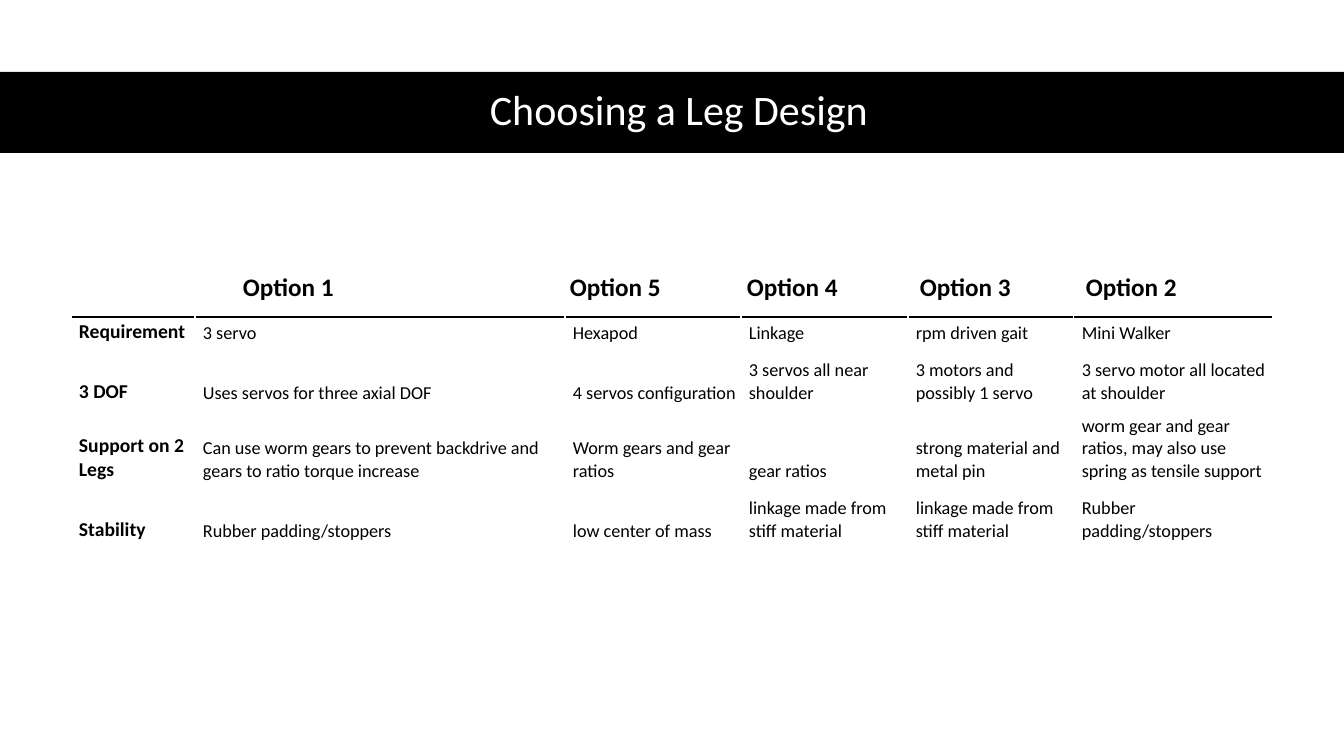
from lxml import etree
from pptx import Presentation
from pptx.dml.color import RGBColor
from pptx.enum.shapes import MSO_SHAPE
from pptx.enum.text import MSO_ANCHOR, MSO_AUTO_SIZE, PP_ALIGN
from pptx.oxml.ns import qn
from pptx.util import Pt

RECT = MSO_SHAPE.RECTANGLE
MIDDLE, BOTTOM = MSO_ANCHOR.MIDDLE, MSO_ANCHOR.BOTTOM
CENTER, LEFT = PP_ALIGN.CENTER, PP_ALIGN.LEFT
GROW = MSO_AUTO_SIZE.SHAPE_TO_FIT_TEXT

TITLE = "Choosing a Leg Design"
OPTIONS = [("Option 1", 233), ("Option 5", 560), ("Option 4", 737),
           ("Option 3", 910), ("Option 2", 1076)]
ROWS = [
    ("Requirement", "3 servo", "Hexapod", "Linkage", "rpm driven gait", "Mini Walker"),
    ("3 DOF", "Uses servos for three axial DOF", "4 servos configuration",
     "3 servos all near shoulder", "3 motors and possibly 1 servo",
     "3 servo motor all located at shoulder"),
    ("Support on 2 Legs",
     "Can use worm gears to prevent backdrive and gears to ratio torque increase",
     "Worm gears and gear ratios", "gear ratios", "strong material and metal pin",
     "worm gear and gear ratios, may also use spring as tensile support"),
    ("Stability", "Rubber padding/stoppers", "low center of mass",
     "linkage made from stiff material", "linkage made from stiff material",
     "Rubber padding/stoppers"),
]
COL_WIDTHS = [124, 370, 176, 167, 166, 199]
ROW_HEIGHTS = [38, 60, 78, 60]
COLORS = {"black": "000000", "white": "FFFFFF"}
FONT = "Calibri"
SLIDE_W, SLIDE_H = 1344, 756
SCALE = 914400 / 100.8


def px(n):
    return round(n * SCALE)


def box(*lengths):
    return [px(n) for n in lengths]


def write(tf, text, size, color="black", bold=False, align=LEFT):
    p = tf.paragraphs[0]
    p.alignment = align
    r = p.add_run()
    r.text = text
    for name, value in {"name": FONT, "size": Pt(size), "bold": bold}.items():
        setattr(r.font, name, value)
    r.font.color.rgb = RGBColor.from_string(COLORS[color])
    return p


def top_border(cell):
    ln = etree.Element(qn("a:lnT"), w=str(Pt(1)))
    fill = etree.SubElement(ln, qn("a:solidFill"))
    etree.SubElement(fill, qn("a:srgbClr"), val=COLORS["black"])
    cell._tc.get_or_add_tcPr().insert(0, ln)


def add_title(s):
    band = s.shapes.add_shape(RECT, *box(0, 72, SLIDE_W, 81))
    band.shadow.inherit = False
    band.fill.solid()
    band.fill.fore_color.rgb = RGBColor.from_string(COLORS["black"])
    band.line.fill.background()
    tf = s.shapes.add_textbox(*box(61, 71, 1236, 81)).text_frame
    tf.word_wrap = True
    tf.vertical_anchor = MIDDLE
    p = write(tf, TITLE, 30, "white", align=CENTER)
    p.line_spacing = 0.9


def add_comparison(s):
    frame = s.shapes.add_table(len(ROWS), len(COL_WIDTHS),
                               *box(71, 317, sum(COL_WIDTHS), sum(ROW_HEIGHTS)))
    table = frame.table
    table.first_row = table.horz_banding = False
    for column, width in zip(table.columns, COL_WIDTHS):
        column.width = px(width)
    for row, height in zip(table.rows, ROW_HEIGHTS):
        row.height = px(height)
    cell_format = {"margin_left": px(8), "margin_top": 0, "margin_right": px(5),
                   "margin_bottom": px(11), "vertical_anchor": BOTTOM}
    for i, texts in enumerate(ROWS):
        for j, text in enumerate(texts):
            cell = table.cell(i, j)
            for name, value in cell_format.items():
                setattr(cell, name, value)
            cell.fill.background()
            if i == 0:
                top_border(cell)
            write(cell.text_frame, text, 14 if j == 0 else 13, bold=j == 0)


def add_options(s):
    for text, left in OPTIONS:
        tf = s.shapes.add_textbox(*box(left, 266, 119, 40)).text_frame
        tf.word_wrap = True
        tf.auto_size = GROW
        write(tf, text, 18, bold=True)


def main():
    prs = Presentation()
    prs.slide_width, prs.slide_height = box(SLIDE_W, SLIDE_H)
    s = prs.slides.add_slide(prs.slide_layouts[6])
    add_title(s)
    add_comparison(s)
    add_options(s)
    prs.save("out.pptx")


if __name__ == "__main__":
    main()
